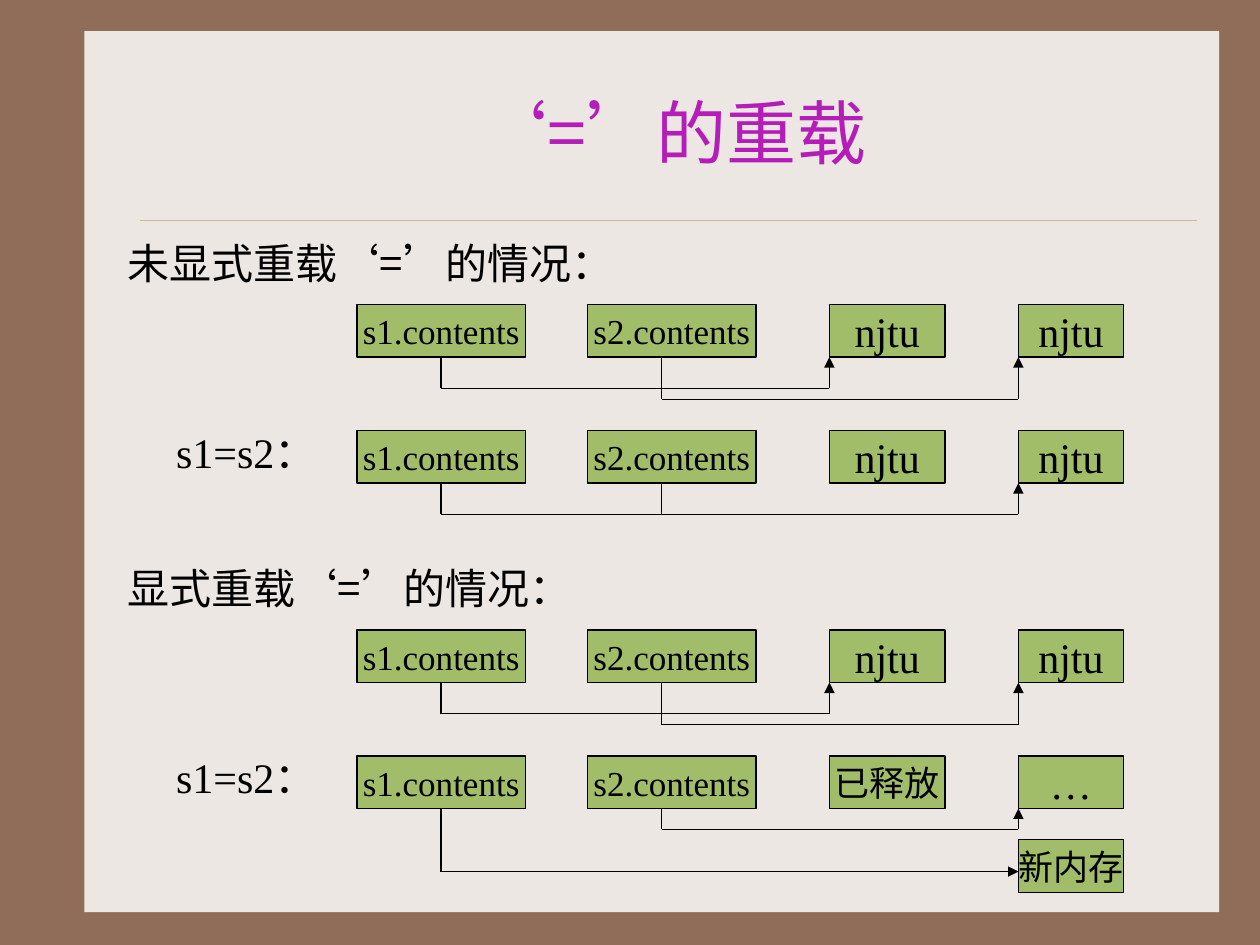
from lxml import etree
from pptx import Presentation
from pptx.dml.color import RGBColor
from pptx.enum import shapes, text
from pptx.oxml.ns import qn
from pptx.util import Cm, Pt

COLORS = {"frame": "906D58", "panel": "EDE7E3", "rule": "CBBD83",
          "title": "B51DB9", "box": "A1BD69", "ink": "000000"}
TIMES, NOTO = "Times New Roman", "Noto Sans CJK SC"

# Content: heading runs, then rows of box labels with their pointers.
# A pointer is (source column, drop below the row, end x, has arrow back up).
QUOTED = [("‘", TIMES), ("=", NOTO), ("’", TIMES)]
TITLE = QUOTED + [("的重载", NOTO)]
ASSIGN = [("s1=s2：", TIMES)]
OBJECTS = ["s1.contents", "s2.contents"]
COL_X = [7.2, 11.85, 16.72, 20.53]
COL_W = [3.39, 3.39, 2.33, 2.12]
BOX_H, ROW_STEP, CASE_STEP = 1.06, 2.54, 6.56
POINTER_X = [8.89, 13.34]
INITIAL = (OBJECTS + ["njtu", "njtu"],
           [(0, 0.63, COL_X[2], True), (1, 0.85, COL_X[3], True)])
CASES = [
    {"heading": [("未显式重载", NOTO)] + QUOTED + [("的情况：", NOTO)], "width": 10.39,
     "rows": [INITIAL, (OBJECTS + ["njtu", "njtu"],
                        [(0, 0.63, POINTER_X[1], False), (1, 0.63, COL_X[3], True)])]},
    {"heading": [("显式重载", NOTO)] + QUOTED + [("的情况：", NOTO)], "width": 9.55,
     "rows": [INITIAL, (OBJECTS + ["已释放", "…"],
                        [(1, 0.42, COL_X[3], True)])]},
]


def rgb(name):
    return RGBColor.from_string(COLORS[name])


def write(sp, runs, size=24, color="ink", align=None, anchor=None, wrap=False):
    tf = sp.text_frame
    tf.word_wrap = wrap
    if anchor is not None:
        tf.vertical_anchor = anchor
    p = tf.paragraphs[0]
    p.alignment = align
    for content, font in runs:
        r = p.add_run()
        r.text = content
        r.font.size, r.font.name = Pt(size), font
        r.font.color.rgb = rgb(color)
        etree.SubElement(r.font._element, qn("a:ea"), typeface=NOTO)


def add_rect(parent, x, y, w, h, fill, line=None):
    sp = parent.add_shape(shapes.MSO_SHAPE.RECTANGLE, Cm(x), Cm(y), Cm(w), Cm(h))
    sp.shadow.inherit = False
    sp.fill.solid()
    sp.fill.fore_color.rgb = rgb(fill)
    if line:
        sp.line.color.rgb, sp.line.width = rgb(line), Pt(0.75)
    else:
        sp.line.fill.background()
    return sp


def add_box(parent, label, col, y):
    sp = add_rect(parent, COL_X[col], y, COL_W[col], BOX_H, "box", "ink")
    write(sp, [(label, TIMES)], size=24 if label in ("njtu", "…") else 20,
          align=text.PP_ALIGN.CENTER, anchor=text.MSO_ANCHOR.MIDDLE)


def add_label(parent, runs, x, y, w, wrap=False):
    sp = parent.add_textbox(Cm(x), Cm(y), Cm(w), Cm(1.27))
    write(sp, runs, wrap=wrap)


def add_path(parent, points, arrow=True, color="ink", width=0.75):
    for start, end in zip(points, points[1:]):
        ln = parent.add_connector(shapes.MSO_CONNECTOR.STRAIGHT,
                                  *[Cm(v) for v in start + end])
        ln.line.color.rgb, ln.line.width = rgb(color), Pt(width)
        etree.SubElement(ln._element.spPr, qn("a:effectLst"))
    if arrow:
        etree.SubElement(ln.line._get_or_add_ln(), qn("a:tailEnd"), type="triangle")


prs = Presentation()
prs.slide_width, prs.slide_height = Cm(25.4), Cm(19.05)
s = prs.slides.add_slide(prs.slide_layouts[5])

# Frame, panel behind the title, and rule
s.background.fill.solid()
s.background.fill.fore_color.rgb = rgb("frame")
panel = add_rect(s.shapes, 1.7, 0.63, 22.88, 17.76, "panel")
s.shapes._spTree.insert(2, panel._element)
add_path(s.shapes, [(2.82, 4.44), (24.13, 4.44)], arrow=False, color="rule", width=0.25)

# Title
title = s.shapes.title
title.left, title.top, title.width, title.height = Cm(2.96), Cm(1.06), Cm(21.17), Cm(3.18)
write(title, TITLE, size=40, color="title", align=text.PP_ALIGN.CENTER,
      anchor=text.MSO_ANCHOR.MIDDLE, wrap=True)

# One group per case: heading, two rows of boxes, pointers
for i, case in enumerate(CASES):
    top = 6.14 + i * CASE_STEP
    group = s.shapes.add_group_shape().shapes
    for j, (labels, pointers) in enumerate(case["rows"]):
        y = top + j * ROW_STEP
        bottom = y + BOX_H
        for col, label in enumerate(labels):
            add_box(group, label, col, y)
        for source, drop, end, rises in pointers:
            x = POINTER_X[source]
            points = [(x, bottom), (x, bottom + drop), (end, bottom + drop)]
            add_path(group, points + [(end, bottom)] * rises, arrow=rises)
    add_label(group, ASSIGN, 3.3, top + 2.33, 3.53)
    add_label(group, case["heading"], 2.33, top - 1.48, case["width"], wrap=True)

# Newly allocated memory that s1 points to in the last row
add_box(group, "新内存", 3, 16.93)
add_path(group, [(POINTER_X[0], bottom), (POINTER_X[0], 17.57), (COL_X[3], 17.57)])

prs.save("out.pptx")
